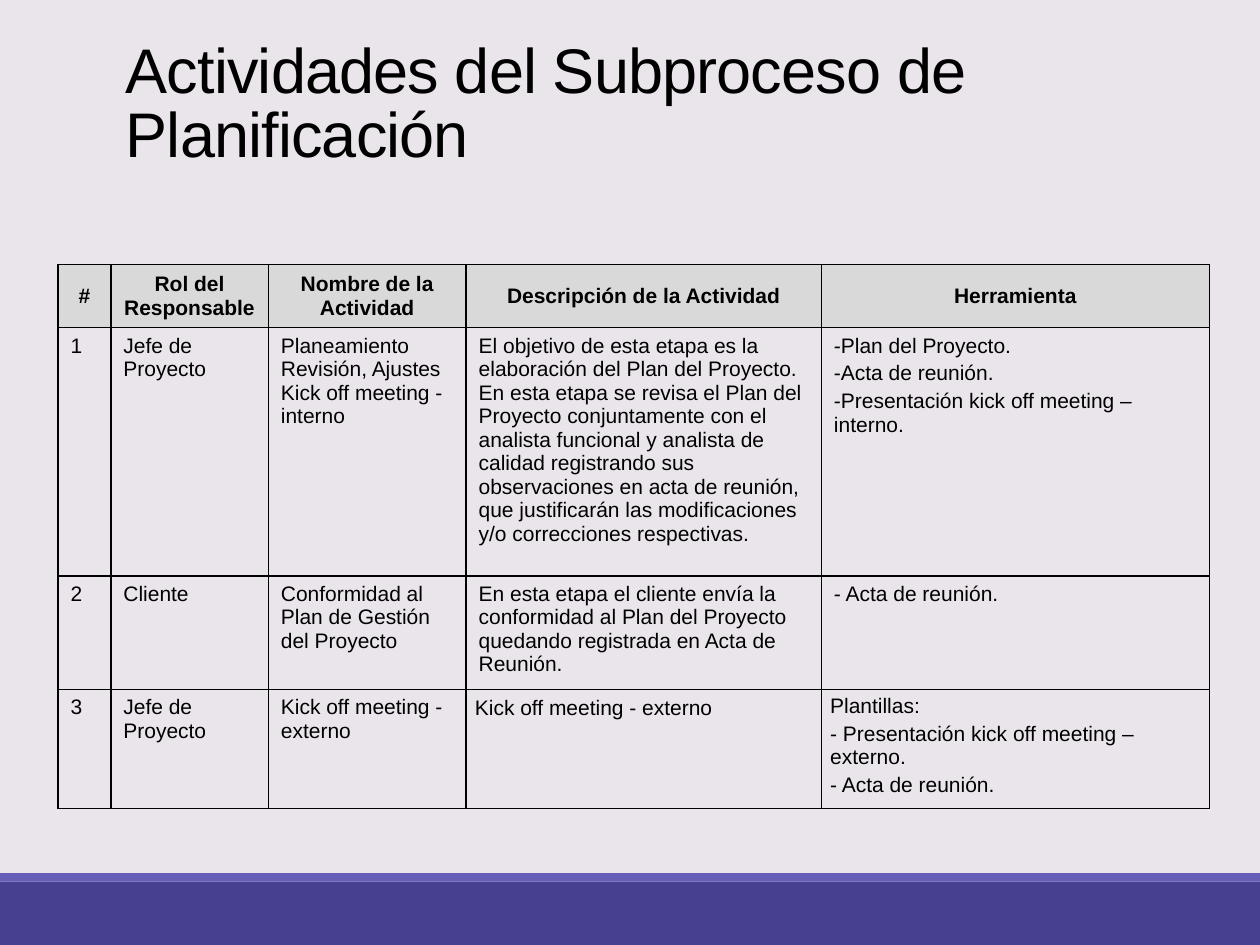
from dataclasses import dataclass

from lxml import etree
from pptx import Presentation
from pptx import util as u
from pptx.dml.color import RGBColor
from pptx.enum import shapes, text
from pptx.oxml.ns import qn

SLIDE_WIDTH, SLIDE_HEIGHT = u.Inches(10), u.Inches(7.5)


@dataclass(frozen=True)
class Theme:
    font: str = "Arial"
    background: str = "EAE5EB"
    band: str = "474091"
    stripe: str = "665EB8"
    header: str = "D9D9D9"
    ink: str = "000000"
    title_size: float = 36
    body_size: float = 12
    list_gap: float = 2.4
    border: float = 1


THEME = Theme()

COLUMNS = [0.42, 1.25, 1.57, 2.82, 3.08]
ROWS = [0.47, 1.97, 0.85, 0.89]
HEADERS = ["#", "Rol del Responsable", "Nombre de la Actividad",
           "Descripción de la Actividad", "Herramienta"]
ACTIVITIES = [
    ["1", "Jefe de Proyecto",
     "Planeamiento\nRevisión, Ajustes\nKick off meeting - interno",
     "El objetivo de esta etapa es la elaboración del Plan del Proyecto.\n"
     "En esta etapa se revisa el Plan del Proyecto conjuntamente con el analista "
     "funcional y analista de calidad registrando sus observaciones en acta de "
     "reunión, que justificarán las modificaciones y/o correcciones respectivas.",
     "-Plan del Proyecto.\n-Acta de reunión.\n"
     "-Presentación kick off meeting – interno."],
    ["2", "Cliente", "Conformidad al Plan de Gestión del Proyecto",
     "En esta etapa el cliente envía la conformidad al Plan del Proyecto "
     "quedando registrada en Acta de Reunión.",
     "- Acta de reunión."],
    ["3", "Jefe de Proyecto", "Kick off meeting - externo",
     "Kick off meeting - externo",
     "Plantillas:\n- Presentación kick off meeting – externo.\n- Acta de reunión."],
]


def share(left, top, width, height):
    return (round(left * SLIDE_WIDTH), round(top * SLIDE_HEIGHT),
            round(width * SLIDE_WIDTH), round(height * SLIDE_HEIGHT))


def paint(fill, color):
    fill.solid()
    fill.fore_color.rgb = RGBColor.from_string(color)


def write(frame, content, size=THEME.body_size, bold=False, align=text.PP_ALIGN.LEFT,
          before=0, spacing=None, tracking=None):
    frame.word_wrap = True
    for index, line in enumerate(content.split("\n")):
        paragraph = frame.add_paragraph() if index else frame.paragraphs[0]
        paragraph.alignment = align
        paragraph.space_before = u.Pt(before)
        paragraph.line_spacing = spacing
        run = paragraph.add_run()
        run.text = line
        run.font.name = THEME.font
        run.font.size = u.Pt(size)
        run.font.bold = bold
        run.font.color.rgb = RGBColor.from_string(THEME.ink)
        if tracking is not None:
            run.font._element.set("spc", str(round(tracking * 100)))


def add_band(slide, top, height, color):
    shape = slide.shapes.add_shape(shapes.MSO_SHAPE.RECTANGLE, *share(0, top, 1, height))
    shape.shadow.inherit = False
    shape.line.fill.background()
    paint(shape.fill, color)


def add_title(slide, content):
    shape = slide.shapes.add_textbox(*share(0.09, 0.041, 0.825, 0.143))
    shape.text_frame.vertical_anchor = text.MSO_ANCHOR.MIDDLE
    write(shape.text_frame, content, size=THEME.title_size, spacing=0.85, tracking=-0.5)


def add_borders(cell):
    properties = cell._tc.get_or_add_tcPr()
    for index, side in enumerate(("lnL", "lnR", "lnT", "lnB")):
        line = etree.Element(qn(f"a:{side}"), w=str(u.Pt(THEME.border)))
        fill = etree.SubElement(line, qn("a:solidFill"))
        etree.SubElement(fill, qn("a:srgbClr"), val=THEME.ink)
        properties.insert(index, line)


def set_insets(cell, horizontal, vertical):
    cell.margin_left = cell.margin_right = u.Inches(horizontal)
    cell.margin_top = cell.margin_bottom = u.Inches(vertical)


def format_header(cell, content):
    paint(cell.fill, THEME.header)
    cell.vertical_anchor = text.MSO_ANCHOR.MIDDLE
    write(cell.text_frame, content, bold=True, align=text.PP_ALIGN.CENTER)


def format_activity(cell, content, row, column):
    cell.fill.background()
    last_row = row == len(ROWS) - 1
    description, tools = column == 3, column == 4
    if last_row and (description or tools):
        set_insets(cell, 0.07, 0.04)
    spaced = tools or (description and row == 2)
    write(cell.text_frame, content, before=THEME.list_gap if spaced else 0,
          spacing=1.1 if last_row and description else None)


def add_activity_table(slide):
    frame = slide.shapes.add_table(
        len(ROWS), len(COLUMNS), u.Inches(0.46), u.Inches(2.1),
        u.Inches(sum(COLUMNS)), u.Inches(sum(ROWS)))
    table = frame.table
    table.first_row = table.horz_banding = False
    for column, width in zip(table.columns, COLUMNS):
        column.width = u.Inches(width)
    for row, height in zip(table.rows, ROWS):
        row.height = u.Inches(height)
    for row, contents in enumerate([HEADERS] + ACTIVITIES):
        for column, content in enumerate(contents):
            cell = table.cell(row, column)
            if row == 0:
                format_header(cell, content)
            else:
                format_activity(cell, content, row, column)
            add_borders(cell)


def main():
    presentation = Presentation()
    presentation.slide_width, presentation.slide_height = SLIDE_WIDTH, SLIDE_HEIGHT
    slide = presentation.slides.add_slide(presentation.slide_layouts[6])
    paint(slide.background.fill, THEME.background)
    add_band(slide, 0.933, 0.067, THEME.band)
    add_band(slide, 0.924, 0.009, THEME.stripe)
    add_title(slide, "Actividades del Subproceso de Planificación")
    add_activity_table(slide)
    presentation.save("out.pptx")


if __name__ == "__main__":
    main()
